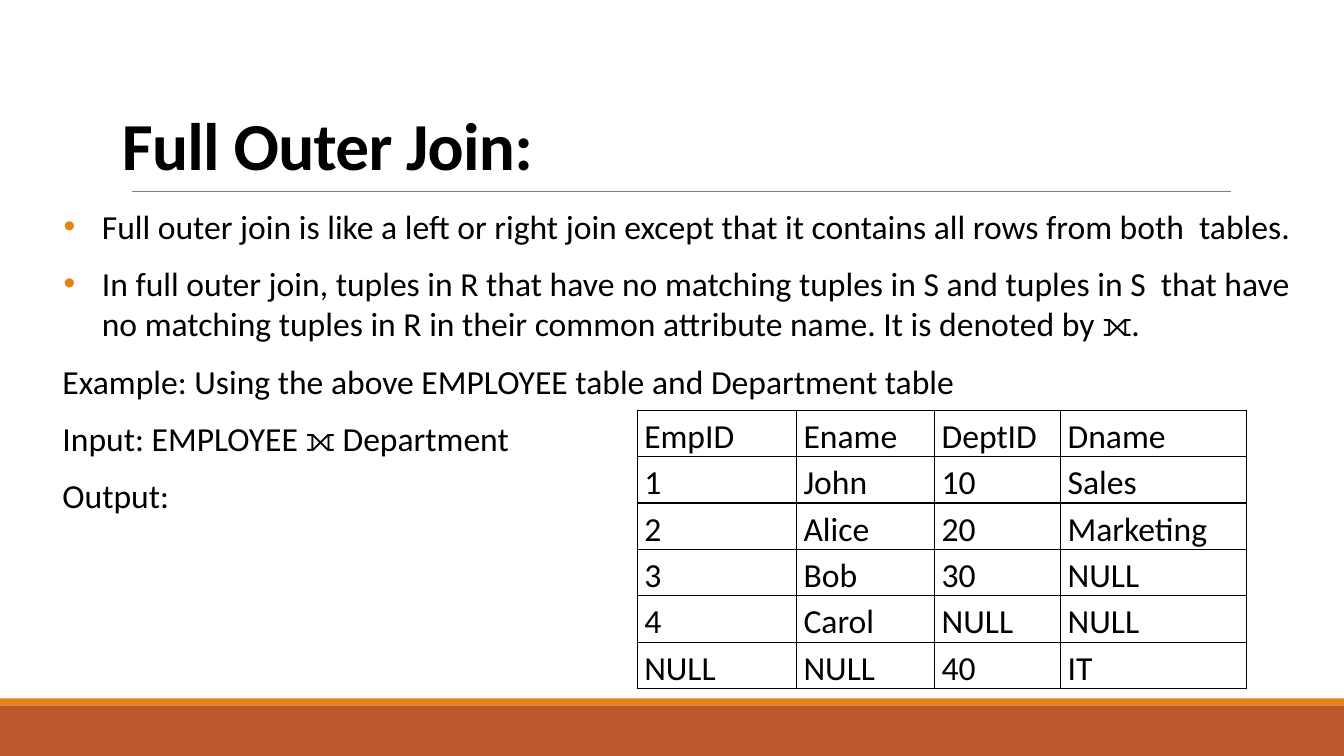
from lxml import etree
from pptx import Presentation
from pptx import util as u
from pptx.dml.color import RGBColor
from pptx.enum import shapes, text
from pptx.oxml.ns import qn

WIDTH, HEIGHT = 13.33, 7.5
BLACK = RGBColor(0x00, 0x00, 0x00)
GREY = RGBColor(0x80, 0x80, 0x80)
ORANGE = RGBColor(0xE4, 0x83, 0x12)
RUST = RGBColor(0xBD, 0x58, 0x2C)
BODY_FONT = {"name": "Calibri", "size": u.Pt(24)}
TITLE_FONT = {"name": "Calibri", "size": u.Pt(48), "bold": True}

BULLETS = [
    "Full outer join is like a left or right join except that it contains all rows from both  tables.",
    "In full outer join, tuples in R that have no matching tuples in S and tuples in S  that "
    "have no matching tuples in R in their common attribute name. It is denoted by ⟗.",
]
EXAMPLE = [
    "Example: Using the above EMPLOYEE table and Department table",
    "Input: EMPLOYEE ⟗ Department",
    "Output:",
]
COLUMN_WIDTHS = [1.58, 1.37, 1.25, 1.84]
ROW_HEIGHT = 0.46
JOIN_ROWS = [
    ["EmpID", "Ename", "DeptID", "Dname"],
    ["1", "John", "10", "Sales"],
    ["2", "Alice", "20", "Marketing"],
    ["3", "Bob", "30", "NULL"],
    ["4", "Carol", "NULL", "NULL"],
    ["NULL", "NULL", "40", "IT"],
]


def inches(*lengths):
    return [u.Inches(length) for length in lengths]


def set_all(target, values):
    for name, value in values.items():
        setattr(target, name, value)


def write(para, words, font):
    span = para.add_run()
    span.text = words
    set_all(span.font, font)
    span.font.color.rgb = BLACK
    return span


def add_frame(page, box, **values):
    frame = page.shapes.add_textbox(*inches(*box)).text_frame
    margins = {"margin_left": 0, "margin_right": 0, "margin_bottom": 0, "margin_top": u.Inches(0.01)}
    set_all(frame, {**margins, "word_wrap": True, **values})
    return frame


def add_footer(page, box):
    left, top, width, height = box
    stripe = height * 0.12
    bands = [(top + stripe, height - stripe, RUST), (top, stripe, ORANGE)]
    for band_top, band_height, colour in bands:
        band = page.shapes.add_shape(
            shapes.MSO_SHAPE.RECTANGLE, *inches(left, band_top, width, band_height))
        band.shadow.inherit = False
        band.fill.solid()
        band.fill.fore_color.rgb = colour
        band.line.fill.background()


def add_title(page, box):
    left, top, width, height = box
    rule_left, rule_top = left + 0.11, top + height + 0.08
    rule = page.shapes.add_connector(
        shapes.MSO_CONNECTOR.STRAIGHT, *inches(rule_left, rule_top, rule_left + 10.9, rule_top))
    rule.line.color.rgb = GREY
    rule.line.width = u.Pt(0.5)
    etree.SubElement(rule._element.spPr, qn("a:effectLst"))
    frame = add_frame(page, box, vertical_anchor=text.MSO_ANCHOR.BOTTOM, word_wrap=False)
    para = frame.paragraphs[0]
    para._p.get_or_add_pPr().set("marL", str(u.Inches(0.01)))
    span = write(para, "Full Outer Join:", TITLE_FONT)
    span.font._element.set("spc", "-50")


def add_bullet(para):
    props = para._p.get_or_add_pPr()
    props.set("marL", str(u.Inches(0.39)))
    props.set("indent", str(u.Inches(-0.38)))
    colour = etree.SubElement(props, qn("a:buClr"))
    etree.SubElement(colour, qn("a:srgbClr"), val=str(ORANGE))
    etree.SubElement(props, qn("a:buFont"), typeface="Arial")
    etree.SubElement(props, qn("a:buChar"), char="•")


def add_body(page, box):
    frame = add_frame(page, box)
    for index, words in enumerate(BULLETS + EXAMPLE):
        para = frame.paragraphs[0] if index == 0 else frame.add_paragraph()
        if index < len(BULLETS):
            add_bullet(para)
        set_all(para, {"space_before": u.Pt(10.1 if index else 0), "space_after": u.Pt(2)})
        write(para, words, BODY_FONT)


def add_borders(cell):
    props = cell._tc.get_or_add_tcPr()
    for position, side in enumerate(("lnL", "lnR", "lnT", "lnB")):
        border = etree.Element(qn("a:" + side), w=str(u.Pt(1)))
        fill = etree.SubElement(border, qn("a:solidFill"))
        etree.SubElement(fill, qn("a:srgbClr"), val=str(BLACK))
        props.insert(position, border)


def add_join_table(page, box):
    table = page.shapes.add_table(len(JOIN_ROWS), len(COLUMN_WIDTHS), *inches(*box)).table
    set_all(table, {"first_row": False, "horz_banding": False})
    for column, width in zip(table.columns, COLUMN_WIDTHS):
        column.width = u.Inches(width)
    for row, values in zip(table.rows, JOIN_ROWS):
        row.height = u.Inches(ROW_HEIGHT)
        for cell, words in zip(row.cells, values):
            side = u.Inches(0.07)
            set_all(cell, {"margin_left": side, "margin_right": side,
                           "margin_top": 0, "margin_bottom": 0})
            cell.fill.background()
            add_borders(cell)
            para = cell.text_frame.paragraphs[0]
            para.line_spacing = 1.15
            write(para, words, BODY_FONT)


def main():
    deck = Presentation()
    deck.slide_width, deck.slide_height = inches(WIDTH, HEIGHT)
    page = deck.slides.add_slide(deck.slide_layouts[6])
    add_footer(page, (0, HEIGHT - 0.57, WIDTH, 0.57))
    add_title(page, (1.2, 1, 4.13, 0.82))
    add_body(page, (0.62, 2.03, 12.23, 3.11))
    add_join_table(page, (6.32, 4.07, sum(COLUMN_WIDTHS), ROW_HEIGHT * len(JOIN_ROWS)))
    deck.save("out.pptx")


if __name__ == "__main__":
    main()
